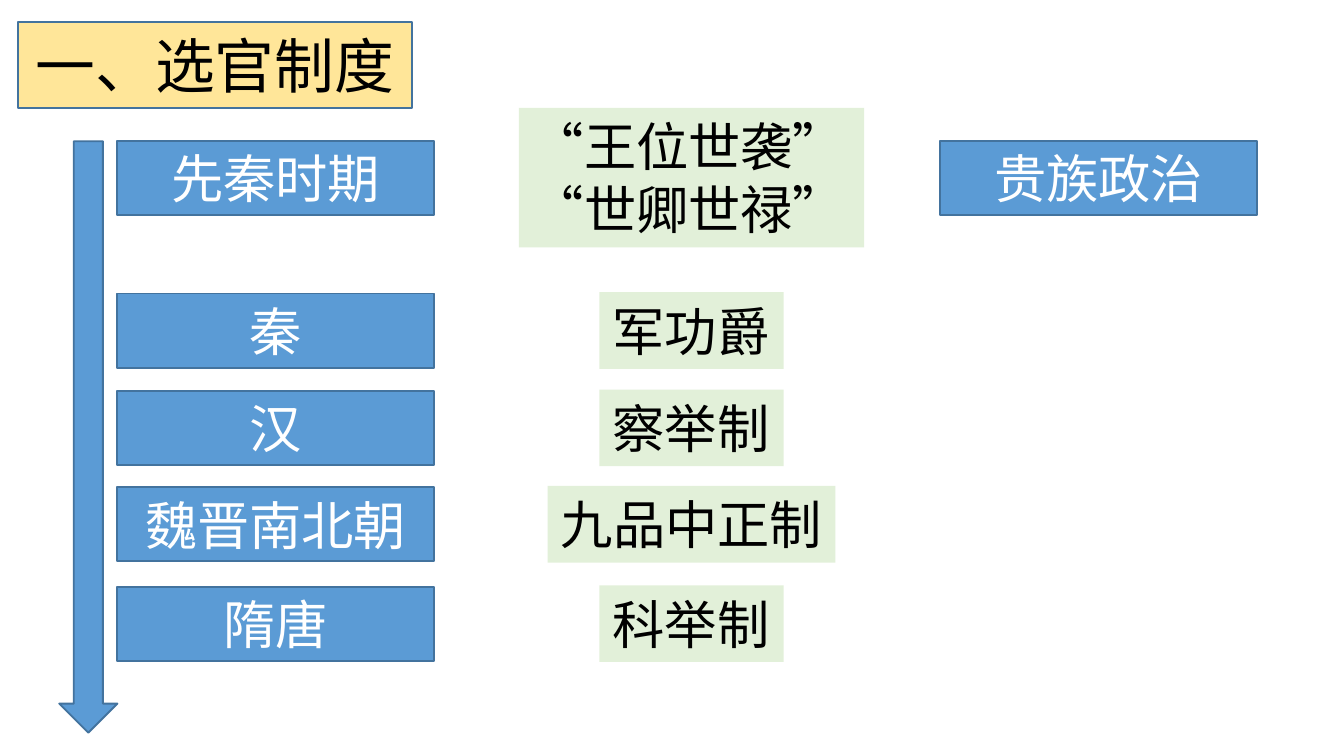
from dataclasses import dataclass

from pptx import Presentation
from pptx.dml.color import RGBColor
from pptx.enum.shapes import MSO_SHAPE
from pptx.enum.text import MSO_ANCHOR, MSO_AUTO_SIZE, PP_ALIGN
from pptx.util import Cm, Pt

BLUE, EDGE = "5B9BD5", "43739E"
CREAM, GREEN = "FFE699", "E2F0D9"
WHITE, BLACK = "FFFFFF", "000000"


@dataclass
class Box:
    left: float
    top: float
    width: float
    height: float


@dataclass
class Row:
    era: str
    post: str
    mid: float
    width: float = 3.48
    height: float = 1.45
    wrap: bool = False


ROWS = [
    Row("先秦时期", "“王位世袭”\n“世卿世禄”", 3.36, 6.53, 2.64, True),
    Row("秦", "军功爵", 6.25),
    Row("汉", "察举制", 8.09),
    Row("魏晋南北朝", "九品中正制", 9.91, 5.44),
    Row("隋唐", "科举制", 11.79),
]


def hue(code: str) -> RGBColor:
    return RGBColor.from_string(code)


def draw(slide, box: Box, fill: str, edge: str = "", kind=MSO_SHAPE.RECTANGLE):
    shape = slide.shapes.add_shape(
        kind, Cm(box.left), Cm(box.top), Cm(box.width), Cm(box.height)
    )
    shape.shadow.inherit = False
    shape.fill.solid()
    shape.fill.fore_color.rgb = hue(fill)
    if edge:
        shape.line.color.rgb = hue(edge)
        shape.line.width = Pt(1)
    else:
        shape.line.fill.background()
    return shape


def write(shape, text: str, *, size=28, color=WHITE, align=PP_ALIGN.CENTER,
          anchor=MSO_ANCHOR.MIDDLE, wrap=True, grow=False) -> None:
    frame = shape.text_frame
    frame.text = text
    frame.word_wrap = wrap
    frame.vertical_anchor = anchor
    if grow:
        frame.auto_size = MSO_AUTO_SIZE.SHAPE_TO_FIT_TEXT
    for para in frame.paragraphs:
        para.alignment = align
        for run in para.runs:
            run.font.name = "Arial"
            run.font.size = Pt(size)
            run.font.color.rgb = hue(color)


def label(slide, text: str, left: float, mid: float) -> None:
    write(draw(slide, Box(left, mid - 0.7, 6, 1.4), BLUE, EDGE), text)


def post(slide, row: Row) -> None:
    box = Box(13.07 - row.width / 2, row.mid - row.height / 2,
              row.width, row.height)
    write(draw(slide, box, GREEN), row.post, color=BLACK,
          align=PP_ALIGN.LEFT, anchor=MSO_ANCHOR.TOP,
          wrap=row.wrap, grow=True)


def main() -> None:
    deck = Presentation()
    deck.slide_width, deck.slide_height = Cm(25.4), Cm(14.29)
    slide = deck.slides.add_slide(deck.slide_layouts[6])

    title = draw(slide, Box(0.34, 0.42, 7.45, 1.62), CREAM, EDGE)
    write(title, "一、选官制度", size=32, color=BLACK)
    for row in ROWS:
        label(slide, row.era, 2.21, row.mid)
        post(slide, row)
    draw(slide, Box(1.12, 2.67, 1.1, 11.18), BLUE, EDGE, MSO_SHAPE.DOWN_ARROW)
    label(slide, "贵族政治", 17.76, ROWS[0].mid)

    deck.save("out.pptx")


if __name__ == "__main__":
    main()
